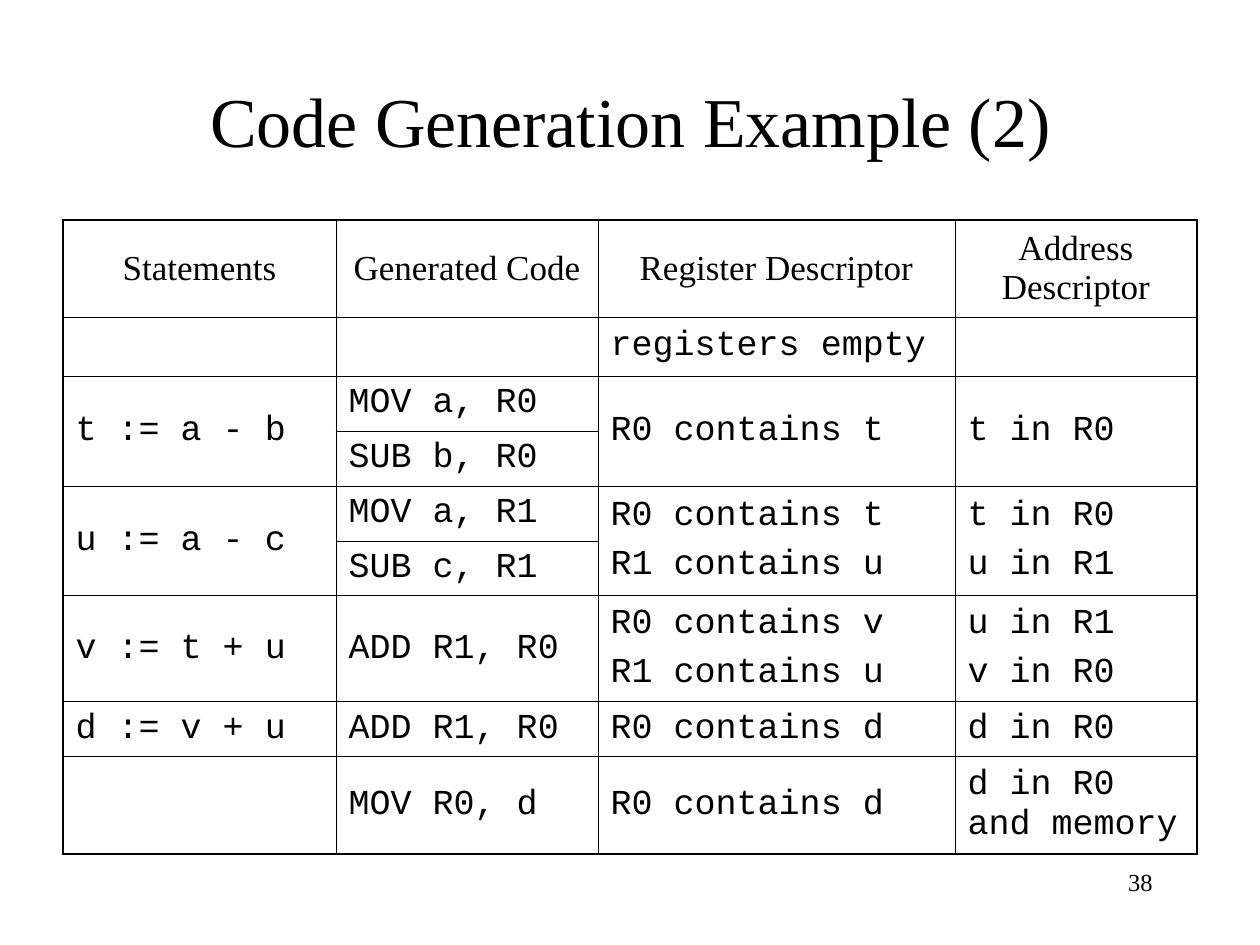
from lxml import etree
from pptx import Presentation, util as u
from pptx.dml.color import RGBColor
from pptx.enum import text as t
from pptx.oxml.ns import qn

TITLE = "Code Generation Example (2)"
PAGE = "38"
HEADS = ["Statements", "Generated Code", "Register Descriptor", "Address Descriptor"]
# Each step: statement, code lines, register lines, address lines.
# A step takes one table row for each line of code.
STEPS = [
    ("", [], ["registers empty"], []),
    ("t := a - b", ["MOV a, R0", "SUB b, R0"], ["R0 contains t"], ["t in R0"]),
    ("u := a - c", ["MOV a, R1", "SUB c, R1"],
     ["R0 contains t", "R1 contains u"], ["t in R0", "u in R1"]),
    ("v := t + u", ["ADD R1, R0"],
     ["R0 contains v", "R1 contains u"], ["u in R1", "v in R0"]),
    ("d := v + u", ["ADD R1, R0"], ["R0 contains d"], ["d in R0"]),
    ("", ["MOV R0, d"], ["R0 contains d"], ["d in R0 and memory"]),
]
COLS = [273, 262, 357, 242]
ROWS = [97, 59, 55, 55, 55, 55, 106, 55, 97]
THEME = {
    "ink": RGBColor(0, 0, 0), "paper": RGBColor(255, 255, 255),
    "serif": "Times New Roman", "mono": "Courier New",
    "title": 40, "body": 20, "page": 14, "gap": 5,
    "thin": 0.45, "thick": 1.08,
}
SCALE = u.Inches(1) / 126


def px(n):
    return u.Emu(round(n * SCALE))


def place(shape, *box):
    shape.left, shape.top, shape.width, shape.height = map(px, box)


def write(frame, lines, font, size, align, gap=0):
    for i, line in enumerate(lines):
        para = frame.paragraphs[0] if i == 0 else frame.add_paragraph()
        para.alignment = align
        para.space_before = u.Pt(gap)
        run = para.add_run()
        run.text = line
        run.font.name = font
        run.font.size = u.Pt(size)
        run.font.color.rgb = THEME["ink"]


def rule(cell, side, width):
    """Draw one border of a cell; side is L, R, T or B."""
    line = etree.SubElement(cell._tc.get_or_add_tcPr(), qn(f"a:ln{side}"),
                            w=str(u.Pt(width)))
    fill = etree.SubElement(line, qn("a:solidFill"))
    etree.SubElement(fill, qn("a:srgbClr"), val=str(THEME["ink"]))


def fill_cell(cell, lines, font, align):
    cell.vertical_anchor = t.MSO_ANCHOR.MIDDLE
    write(cell.text_frame, lines, font, THEME["body"], align, THEME["gap"])


def add_grid(slide):
    rows, cols = len(ROWS), len(COLS)
    box = map(px, (63, 220, sum(COLS), sum(ROWS)))
    table = slide.shapes.add_table(rows, cols, *box).table
    table.first_row = table.horz_banding = False
    for col, width in zip(table.columns, COLS):
        col.width = px(width)
    for row, height in zip(table.rows, ROWS):
        row.height = px(height)

    for r in range(rows):
        for c in range(cols):
            cell = table.cell(r, c)
            edges = {"L": c == 0, "R": c == cols - 1,
                     "T": r == 0, "B": r == rows - 1}
            for side, outer in edges.items():
                rule(cell, side, THEME["thick" if outer else "thin"])
            cell.fill.solid()
            cell.fill.fore_color.rgb = THEME["paper"]
            cell.margin_left = cell.margin_right = u.Inches(0.1)
            cell.margin_top = cell.margin_bottom = u.Inches(0.05)

    for c, head in enumerate(HEADS):
        fill_cell(table.cell(0, c), [head], THEME["serif"], t.PP_ALIGN.CENTER)
    top = 1
    for name, code, regs, addrs in STEPS:
        span = max(1, len(code))
        for c, lines in ((0, [name] if name else []), (2, regs), (3, addrs)):
            cell = table.cell(top, c)
            if span > 1:
                cell.merge(table.cell(top + span - 1, c))
            fill_cell(cell, lines, THEME["mono"], t.PP_ALIGN.LEFT)
        for i, line in enumerate(code):
            fill_cell(table.cell(top + i, 1), [line], THEME["mono"], t.PP_ALIGN.LEFT)
        top += span


def main():
    deck = Presentation()
    deck.slide_width, deck.slide_height = px(1260), px(945)
    slide = deck.slides.add_slide(deck.slide_layouts[5])

    title = slide.shapes.title
    place(title, 95, 84, 1071, 71)
    frame = title.text_frame
    frame.word_wrap = True
    frame.auto_size = t.MSO_AUTO_SIZE.NONE
    frame.vertical_anchor = t.MSO_ANCHOR.MIDDLE
    write(frame, [TITLE], THEME["serif"], THEME["title"], t.PP_ALIGN.CENTER)

    add_grid(slide)

    page = slide.shapes.add_textbox(*map(px, (903, 861, 262, 63)))
    page.text_frame.word_wrap = True
    write(page.text_frame, [PAGE], THEME["serif"], THEME["page"], t.PP_ALIGN.RIGHT)

    deck.save("out.pptx")


if __name__ == "__main__":
    main()
